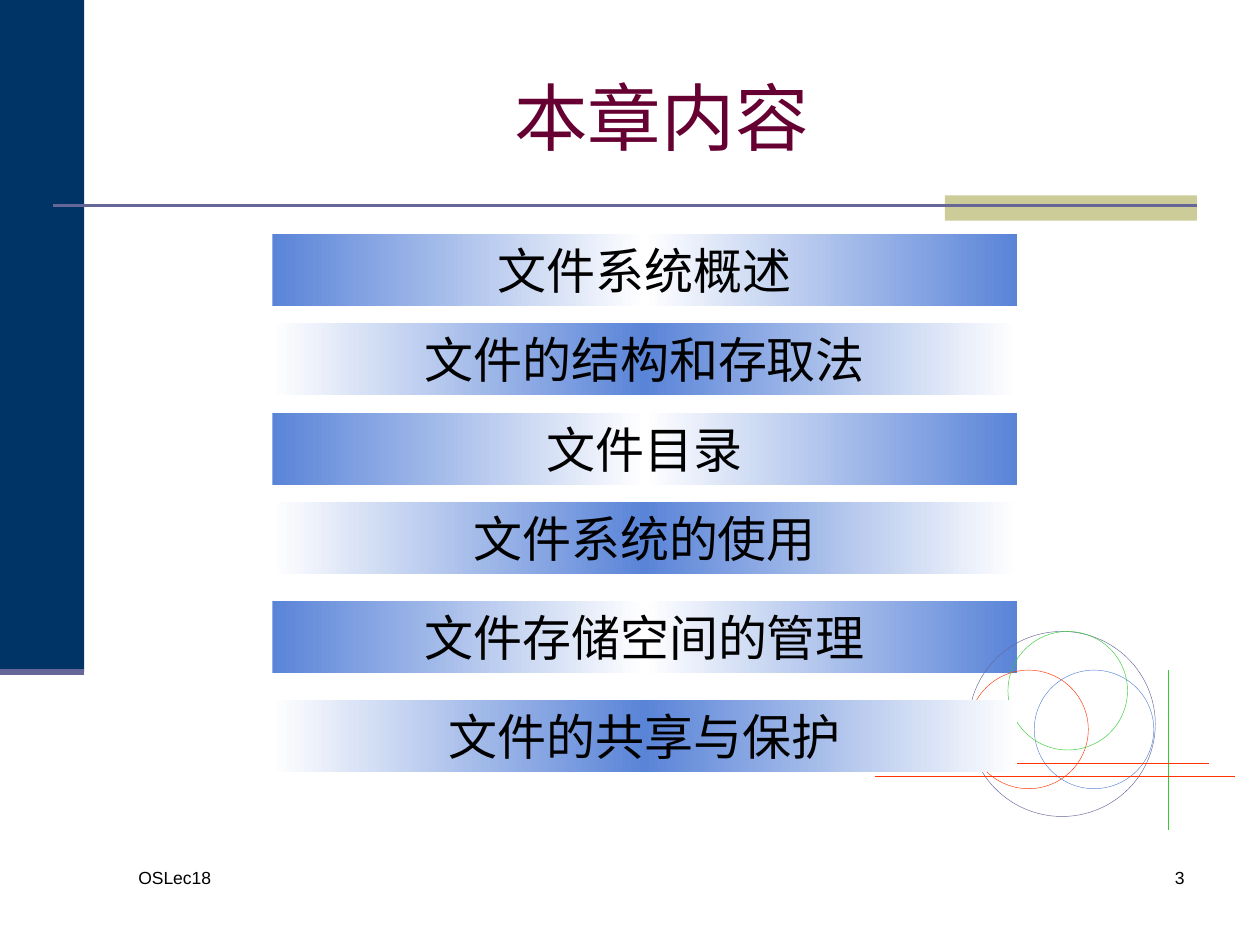
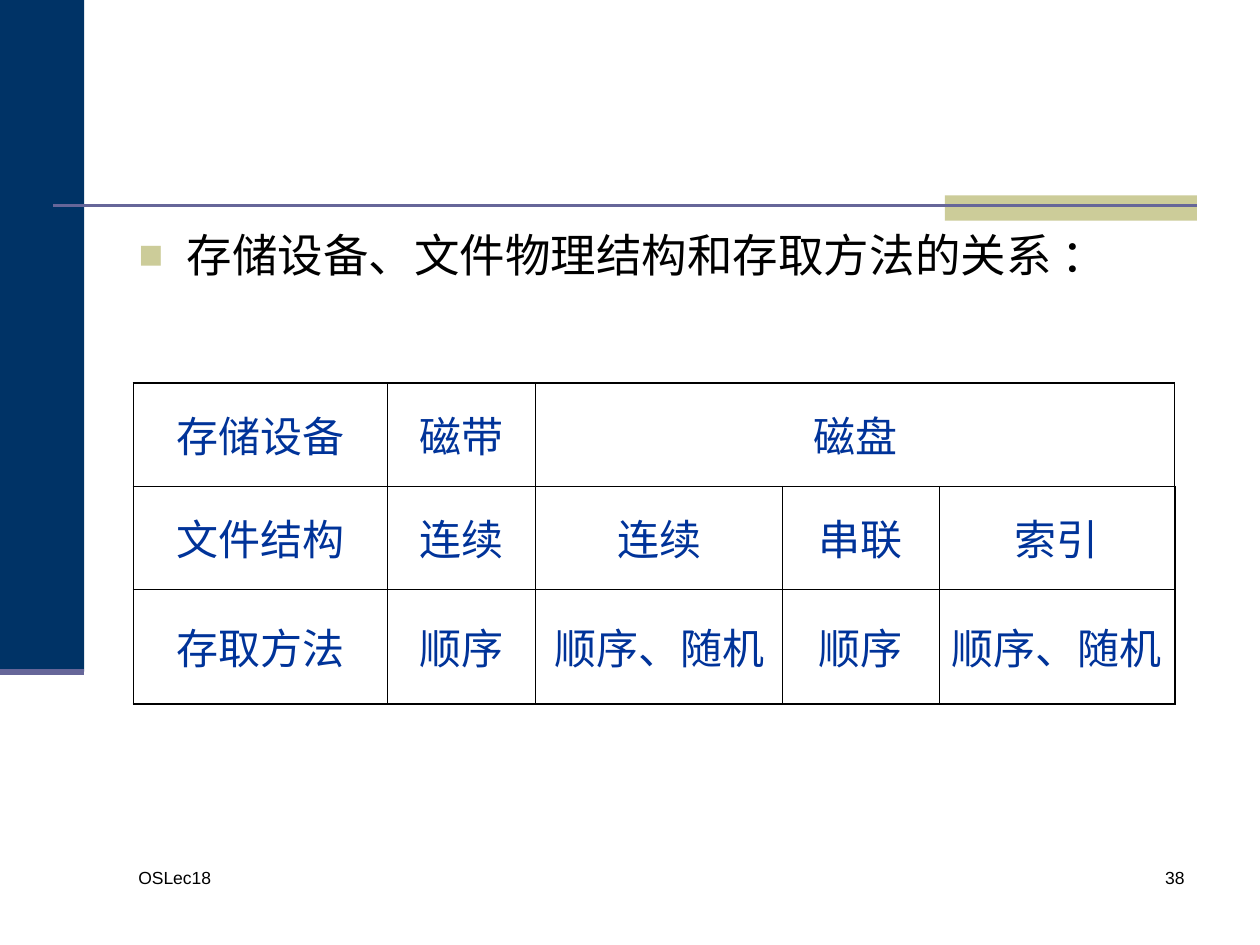
from copy import deepcopy

from lxml import etree
from pptx import Presentation
from pptx.dml.color import RGBColor
from pptx.enum.dml import MSO_LINE
from pptx.enum.shapes import MSO_CONNECTOR, MSO_SHAPE
from pptx.enum.text import MSO_ANCHOR, MSO_AUTO_SIZE, PP_ALIGN
from pptx.oxml.ns import qn
from pptx.util import Cm, Pt

RECTANGLE, OVAL = MSO_SHAPE.RECTANGLE, MSO_SHAPE.OVAL
STRAIGHT = MSO_CONNECTOR.STRAIGHT
DOTTED = MSO_LINE.ROUND_DOT
TOP, MIDDLE = MSO_ANCHOR.TOP, MSO_ANCHOR.MIDDLE
LEFT, CENTER, RIGHT = PP_ALIGN.LEFT, PP_ALIGN.CENTER, PP_ALIGN.RIGHT
NO_AUTOFIT = MSO_AUTO_SIZE.NONE

FONT = "Arial"
COLORS = {
    "navy": "003366",
    "sand": "CCCC99",
    "violet": "666699",
    "title": "660033",
    "text": "000000",
    "table": "003399",
    "blue": "5A84D8",
    "white": "FFFFFF",
    "green": "33CC33",
    "red": "FF3300",
}

CHAPTER_TOPICS = [
    "文件系统概述",
    "文件的结构和存取法",
    "文件目录",
    "文件系统的使用",
    "文件存储空间的管理",
    "文件的共享与保护",
]
STORAGE_ROWS = [
    ["存储设备", "磁带", "磁盘", "", ""],
    ["文件结构", "连续", "连续", "串联", "索引"],
    ["存取方法", "顺序", "顺序、随机", "顺序", "顺序、随机"],
]
COLUMN_WIDTHS = [5.11, 3, 4.98, 3.15, 4.75]
ROW_HEIGHTS = [2.08, 2.08, 2.31]


def rgb(name):
    return RGBColor.from_string(COLORS[name])


def write(text_frame, text, size, color="text", align=LEFT, anchor=TOP):
    text_frame.word_wrap = True
    text_frame.auto_size = NO_AUTOFIT
    text_frame.vertical_anchor = anchor
    paragraph = text_frame.paragraphs[0]
    add_run(paragraph, text, size, color, align)
    return paragraph


def add_run(paragraph, text, size, color, align):
    paragraph.alignment = align
    paragraph.space_before = Pt(0)
    run = paragraph.add_run()
    run.text = text
    run.font.name = FONT
    run.font.size = Pt(size)
    run.font.color.rgb = rgb(color)


def place(shape, box):
    shape.left, shape.top, shape.width, shape.height = map(Cm, box)


def add_shape(slide, kind, box, fill=None, line=None, width=0.25):
    shape = slide.shapes.add_shape(kind, *map(Cm, box))
    shape.shadow.inherit = False
    if fill:
        shape.fill.solid()
        shape.fill.fore_color.rgb = rgb(fill)
    else:
        shape.fill.background()
    if line:
        shape.line.color.rgb = rgb(line)
        shape.line.width = Pt(width)
    else:
        shape.line.fill.background()
    return shape


def add_line(slide, start, end, color, width=0.25, dash=None):
    line = slide.shapes.add_connector(STRAIGHT, *map(Cm, (*start, *end)))
    line.line.color.rgb = rgb(color)
    line.line.width = Pt(width)
    if dash:
        line.line.dash_style = dash
    etree.SubElement(line._element.spPr, qn("a:effectLst"))


def add_footer(slide, box, text, align):
    text_box = slide.shapes.add_textbox(*map(Cm, box))
    write(text_box.text_frame, text, 10, align=align)


def add_frame(slide, number):
    add_shape(slide, RECTANGLE, (0, 0, 1.7, 13.54), "navy")
    add_shape(slide, RECTANGLE, (19.05, 3.94, 5.08, 0.51), "sand")
    add_line(slide, (1.07, 4.14), (24.13, 4.14), "violet", 1.5)
    add_line(slide, (0, 13.54), (1.7, 13.54), "violet", 3.5)
    add_footer(slide, (2.54, 17.36, 5.5, 1.27), "OSLec18", LEFT)
    add_footer(slide, (18.85, 17.36, 5.28, 1.27), str(number), RIGHT)


def add_topic_bar(slide, box, text, edge, middle):
    bar = add_shape(slide, RECTANGLE, box)
    bar.fill.gradient()
    bar.fill.gradient_angle = 0
    stop_list = bar._element.spPr.find(".//" + qn("a:gsLst"))
    stop_list.insert(1, deepcopy(stop_list[0]))
    for index, (stop, color) in enumerate(zip(bar.fill.gradient_stops, (edge, middle, edge))):
        stop.position = index / 2
        stop.color.rgb = rgb(color)
    write(bar.text_frame, text, 28, align=CENTER, anchor=MIDDLE)


def add_circle_ornament(slide, left, top):
    add_line(slide, (left + 6.45, top + 0.78), (left + 6.45, top + 4.01), "green")
    add_shape(slide, OVAL, (left + 2.43, top, 3.76, 3.73), line="violet")
    for x, y, color in ((2.43, 0.78, "red"), (3.75, 0.78, "blue"), (3.22, 0, "green")):
        add_shape(slide, OVAL, (left + x, top + y, 2.41, 2.39), line=color)
    for x, y, dash in ((0, 2.66, DOTTED), (0.53, 2.92, None)):
        add_line(slide, (left + x, top + y), (left + x + 7.26, top + y), "red", dash=dash)


def add_topic_list(slide, left, top):
    for index, topic in enumerate(CHAPTER_TOPICS):
        if index == len(CHAPTER_TOPICS) - 1:
            add_circle_ornament(slide, left + 11.61, top + 8.01)
        bar_top = top + 1.8 * index + 0.2 * max(0, index - 3)
        edge, middle = ("white", "blue") if index % 2 else ("blue", "white")
        add_topic_bar(slide, (left, bar_top, 15.01, 1.45), topic, edge, middle)


def add_bullet(paragraph, indent):
    properties = paragraph._p.get_or_add_pPr()
    properties.set("marL", str(Cm(indent)))
    properties.set("indent", str(-Cm(indent)))
    color = etree.SubElement(properties, qn("a:buClr"))
    etree.SubElement(color, qn("a:srgbClr"), val=COLORS["sand"])
    etree.SubElement(properties, qn("a:buSzPct"), val="90000")
    etree.SubElement(properties, qn("a:buFont"), typeface=FONT)
    etree.SubElement(properties, qn("a:buChar"), char="■")


def set_borders(cell, widths):
    properties = cell._tc.get_or_add_tcPr()
    for side, width in zip("LRTB", widths):
        border = etree.SubElement(properties, qn(f"a:ln{side}"), w=str(Pt(width)))
        fill = etree.SubElement(border, qn("a:solidFill"))
        etree.SubElement(fill, qn("a:srgbClr"), val=COLORS["text"])


def add_storage_table(slide, left, top):
    row_count, column_count = len(ROW_HEIGHTS), len(COLUMN_WIDTHS)
    box = (left, top, sum(COLUMN_WIDTHS), sum(ROW_HEIGHTS))
    table = slide.shapes.add_table(row_count, column_count, *map(Cm, box)).table
    table.first_row = table.horz_banding = False
    for column, width in zip(table.columns, COLUMN_WIDTHS):
        column.width = Cm(width)
    for row, height in zip(table.rows, ROW_HEIGHTS):
        row.height = Cm(height)
    table.cell(0, 2).merge(table.cell(0, 4))
    for row_index, texts in enumerate(STORAGE_ROWS):
        for column_index, text in enumerate(texts):
            cell = table.cell(row_index, column_index)
            outer_sides = (
                column_index == 0,
                column_index == column_count - 1,
                row_index == 0,
                row_index == row_count - 1,
            )
            set_borders(cell, [1.08 if outer else 0.45 for outer in outer_sides])
            cell.fill.background()
            cell.vertical_anchor = MIDDLE
            if text:
                add_run(cell.text_frame.paragraphs[0], text, 24, "table", CENTER)


def build_contents_slide(presentation):
    slide = presentation.slides.add_slide(presentation.slide_layouts[5])
    add_frame(slide, 3)
    title = slide.shapes.title
    place(title, (2.54, 0.76, 21.59, 3.18))
    write(title.text_frame, "本章内容", 42, "title", CENTER, MIDDLE)
    add_topic_list(slide, 5.49, 4.72)


def build_storage_slide(presentation):
    slide = presentation.slides.add_slide(presentation.slide_layouts[1])
    add_frame(slide, 38)
    title = slide.shapes.title._element
    title.getparent().remove(title)
    body = slide.placeholders[1]
    place(body, (2.54, 4.45, 21.36, 12.57))
    paragraph = write(body.text_frame, "存储设备、文件物理结构和存取方法的关系 ：", 26)
    add_bullet(paragraph, 0.97)
    add_storage_table(slide, 2.69, 7.72)


def main():
    presentation = Presentation()
    presentation.slide_width = Cm(25.4)
    presentation.slide_height = Cm(19.05)
    build_contents_slide(presentation)
    build_storage_slide(presentation)
    presentation.save("out.pptx")


if __name__ == "__main__":
    main()
